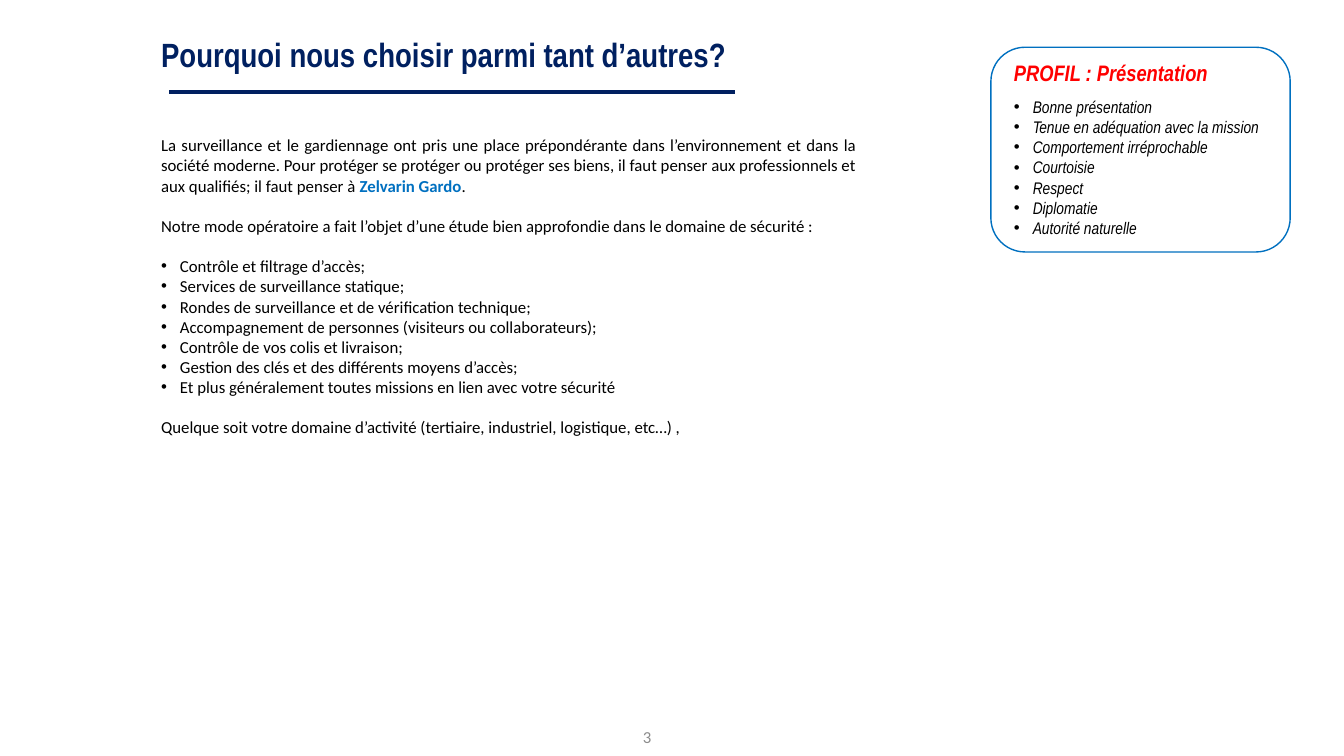
from lxml import etree
from pptx import Presentation
from pptx.dml.color import RGBColor
from pptx.enum import shapes, text
from pptx.oxml import ns
from pptx.util import Pt

NAVY, BLUE, RED, BLACK, GREY = "002060", "0070C0", "FF0000", "000000", "8C8C8C"
BODY, NARROW = "Calibri", "Arial Narrow"
BLANK_LINE = 14.4
BULLET_INDENT = 13.5

TITLE = "Pourquoi nous choisir parmi tant d’autres?"
INTRO = (
    "La surveillance et le gardiennage ont pris une place prépondérante dans "
    "l’environnement et dans la société moderne. Pour protéger se protéger ou "
    "protéger ses biens, il faut penser aux professionnels et aux qualifiés; "
    "il faut penser à "
)
COMPANY = "Zelvarin Gardo"
METHOD = ("Notre mode opératoire a fait l’objet d’une étude bien approfondie "
          "dans le domaine de sécurité :")
SERVICES = [
    "Contrôle et filtrage d’accès;",
    "Services de surveillance statique;",
    "Rondes de surveillance et de vérification technique;",
    "Accompagnement de personnes (visiteurs ou collaborateurs);",
    "Contrôle de vos colis et livraison;",
    "Gestion des clés et des différents moyens d’accès;",
    "Et plus généralement toutes missions en lien avec votre sécurité",
]
CLOSING = ("Quelque soit votre domaine d’activité "
           "(tertiaire, industriel, logistique, etc…) ,")
PROFILE_TITLE = "PROFIL : Présentation"
PROFILE = [
    "Bonne présentation",
    "Tenue en adéquation avec la mission",
    "Comportement irréprochable",
    "Courtoisie",
    "Respect",
    "Diplomatie",
    "Autorité naturelle",
]
PAGE_NUMBER = "3"


def rgb(value):
    return RGBColor.from_string(value)


def add_text(s, box, paragraphs, size, font, color, bold=False, italic=False):
    """Write one paragraph per list of runs and return the text frame."""
    tf = s.shapes.add_textbox(*map(Pt, box)).text_frame
    tf.word_wrap = True
    for i, runs in enumerate(paragraphs):
        p = tf.add_paragraph() if i else tf.paragraphs[0]
        for words in runs:
            r = p.add_run()
            r.text = words
            r.font.size, r.font.name = Pt(size), font
            r.font.bold, r.font.italic = bold, italic
            r.font.color.rgb = rgb(color)
    return tf


def add_bullet(p):
    pPr = p._p.get_or_add_pPr()
    pPr.set("marL", str(Pt(BULLET_INDENT)))
    pPr.set("indent", str(-Pt(BULLET_INDENT)))
    etree.SubElement(pPr, ns.qn("a:buFont")).set("typeface", "Arial")
    etree.SubElement(pPr, ns.qn("a:buChar")).set("char", "•")


prs = Presentation()
prs.slide_width, prs.slide_height = Pt(960), Pt(540)
s = prs.slides.add_slide(prs.slide_layouts[6])

# Main text
body = [[INTRO, COMPANY, "."], [METHOD], *([item] for item in SERVICES), [CLOSING]]
tf = add_text(s, (108, 92.9, 511.2, 225.4), body, 12, BODY, BLACK)
for p in tf.paragraphs:
    p.alignment = text.PP_ALIGN.JUSTIFY
    if p.text in (METHOD, SERVICES[0], CLOSING):
        p.space_before = Pt(BLANK_LINE)
    if p.text in SERVICES:
        add_bullet(p)
company_font = tf.paragraphs[0].runs[1].font
company_font.bold = True
company_font.color.rgb = rgb(BLUE)

# Title and its rule
add_text(s, (108, 20.9, 480, 36), [[TITLE]], 24, NARROW, NAVY, bold=True)
rule = s.shapes.add_connector(shapes.MSO_CONNECTOR.STRAIGHT,
                              Pt(121), Pt(65.5), Pt(525), Pt(65.5))
rule.line.color.rgb = rgb(NAVY)
rule.line.width = Pt(3)
etree.SubElement(rule._element.spPr, ns.qn("a:effectLst"))

# Profile card
add_text(s, (717.1, 38.9, 200.2, 26.6), [[PROFILE_TITLE]], 16, NARROW, RED,
         bold=True, italic=True)
tf = add_text(s, (717.1, 65.5, 219.6, 108.7), [[item] for item in PROFILE],
              12, NARROW, BLACK, italic=True)
for p in tf.paragraphs:
    add_bullet(p)
card = s.shapes.add_shape(shapes.MSO_SHAPE.ROUNDED_RECTANGLE,
                          Pt(707.8), Pt(33.8), Pt(213.8), Pt(146.2))
card.shadow.inherit = False
card.fill.background()
card.line.color.rgb = rgb(BLUE)
card.line.width = Pt(1)

# Page number
tf = add_text(s, (256.3, 511.9, 216, 28.8), [[PAGE_NUMBER]], 12, BODY, GREY)
tf.vertical_anchor = text.MSO_ANCHOR.MIDDLE
tf.paragraphs[0].alignment = text.PP_ALIGN.RIGHT

prs.save("out.pptx")
